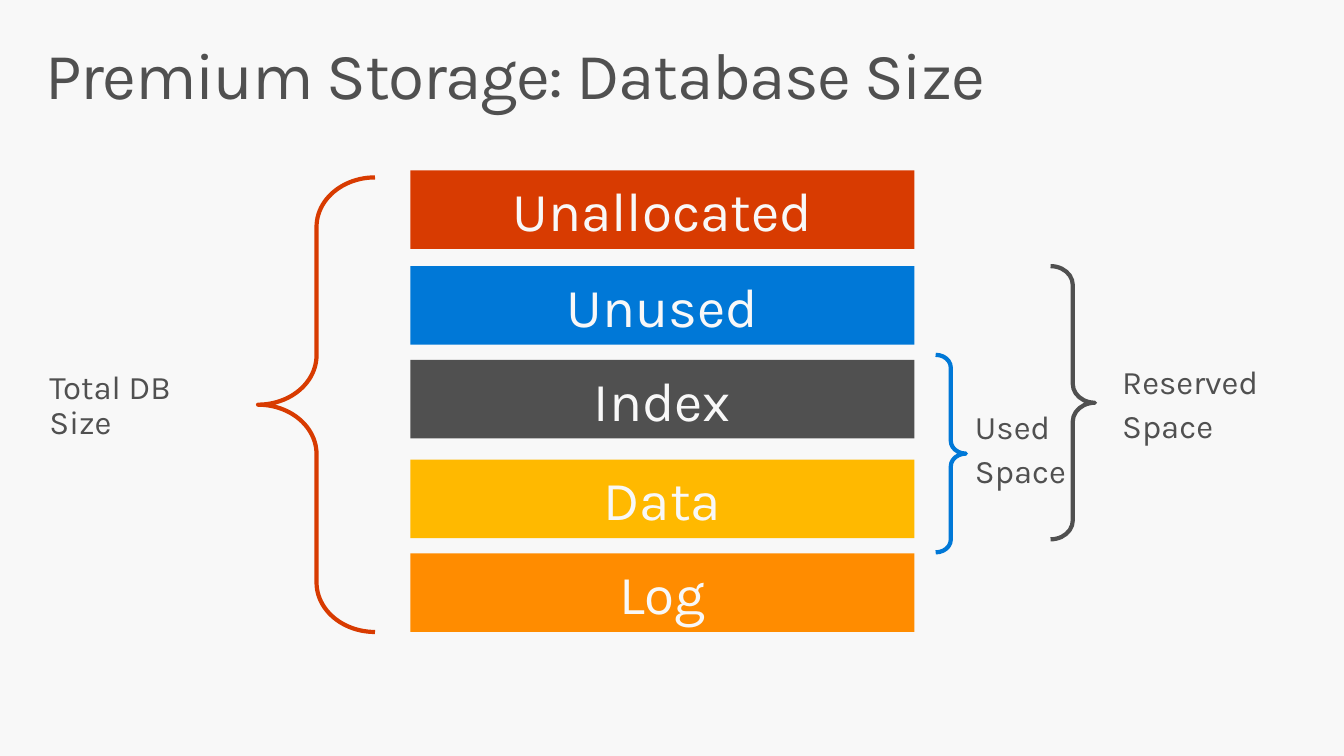
from pptx import Presentation
from pptx.dml.color import RGBColor
from pptx.enum.shapes import MSO_SHAPE as Preset
from pptx.enum.text import MSO_ANCHOR as Anchor, MSO_AUTO_SIZE as AutoSize, PP_ALIGN as Align
from pptx.util import Inches, Pt

theme = {
    "font": "Karla",
    "paper": RGBColor.from_string("F8F8F8"),
    "gray": RGBColor.from_string("505050"),
    "red": RGBColor.from_string("D83B01"),
    "blue": RGBColor.from_string("0078D7"),
    "yellow": RGBColor.from_string("FFB900"),
    "orange": RGBColor.from_string("FF8C00"),
    "title_size": Pt(47),
    "bar_size": Pt(39.2),
    "label_size": Pt(23.5),
    "brace_width": Pt(3),
}


def write_text(shape, lines, size, color, margins, frame_format, paragraph_format):
    frame = shape.text_frame
    side, edge = (Inches(margin) for margin in margins)
    frame_values = {"margin_left": side, "margin_right": side,
                    "margin_top": edge, "margin_bottom": edge, **frame_format}
    for name, value in frame_values.items():
        setattr(frame, name, value)
    frame.text = "\n".join(lines)
    for paragraph in frame.paragraphs:
        for name, value in paragraph_format.items():
            setattr(paragraph, name, value)
        for run in paragraph.runs:
            run.font.name = theme["font"]
            run.font.size = size
            run.font.color.rgb = color


presentation = Presentation()
presentation.slide_width = Inches(13.33)
presentation.slide_height = Inches(7.5)
slide = presentation.slides.add_slide(presentation.slide_layouts[6])
slide.background.fill.solid()
slide.background.fill.fore_color.rgb = theme["paper"]

title = slide.shapes.add_textbox(Inches(0.29), Inches(0.32), Inches(12.75), Inches(0.98))
write_text(title, ["Premium Storage: Database Size"], theme["title_size"], theme["gray"],
           (0.16, 0.1), {"word_wrap": True}, {"line_spacing": 0.9})
title.text_frame.paragraphs[0].runs[0].font._element.set("spc", "-100")

bars = [
    ("Unallocated", 1.69, "red"),
    ("Unused", 2.64, "blue"),
    ("Index", 3.57, "gray"),
    ("Data", 4.56, "yellow"),
    ("Log", 5.49, "orange"),
]
for name, top, color in bars:
    bar = slide.shapes.add_shape(Preset.RECTANGLE, Inches(4.07), Inches(top), Inches(5), Inches(0.78))
    bar.shadow.inherit = False
    bar.fill.solid()
    bar.fill.fore_color.rgb = theme[color]
    bar.line.fill.background()
    write_text(bar, [name], theme["bar_size"], theme["paper"], (0, 0.05),
               {"word_wrap": True, "vertical_anchor": Anchor.MIDDLE}, {"alignment": Align.CENTER})

braces = [
    (2.56, 1.76, 1.16, 4.51, 0, "red"),
    (9.28, 3.52, 0.3, 1.96, 180, "blue"),
    (10.42, 2.64, 0.44, 2.71, 180, "gray"),
]
for left, top, width, height, rotation, color in braces:
    brace = slide.shapes.add_shape(Preset.LEFT_BRACE, Inches(left), Inches(top), Inches(width), Inches(height))
    brace.shadow.inherit = False
    brace.rotation = rotation
    brace.adjustments[0] = 0.423
    brace.adjustments[1] = 0.5
    brace.fill.background()
    brace.line.color.rgb = theme[color]
    brace.line.width = theme["brace_width"]

labels = [
    (["Total DB Size"], 0.29, 3.52, 2.3, 0.67, False),
    (["Reserved", "Space"], 10.93, 3.47, 2.4, 1.11, True),
    (["Used", "Space"], 9.47, 3.92, 1.31, 1.11, True),
]
for lines, left, top, width, height, wrap in labels:
    label = slide.shapes.add_textbox(Inches(left), Inches(top), Inches(width), Inches(height))
    write_text(label, lines, theme["label_size"], theme["gray"], (0.2, 0.16),
               {"word_wrap": wrap, "auto_size": AutoSize.SHAPE_TO_FIT_TEXT},
               {"line_spacing": 0.9, "space_after": Pt(5.9)})

presentation.save("out.pptx")
